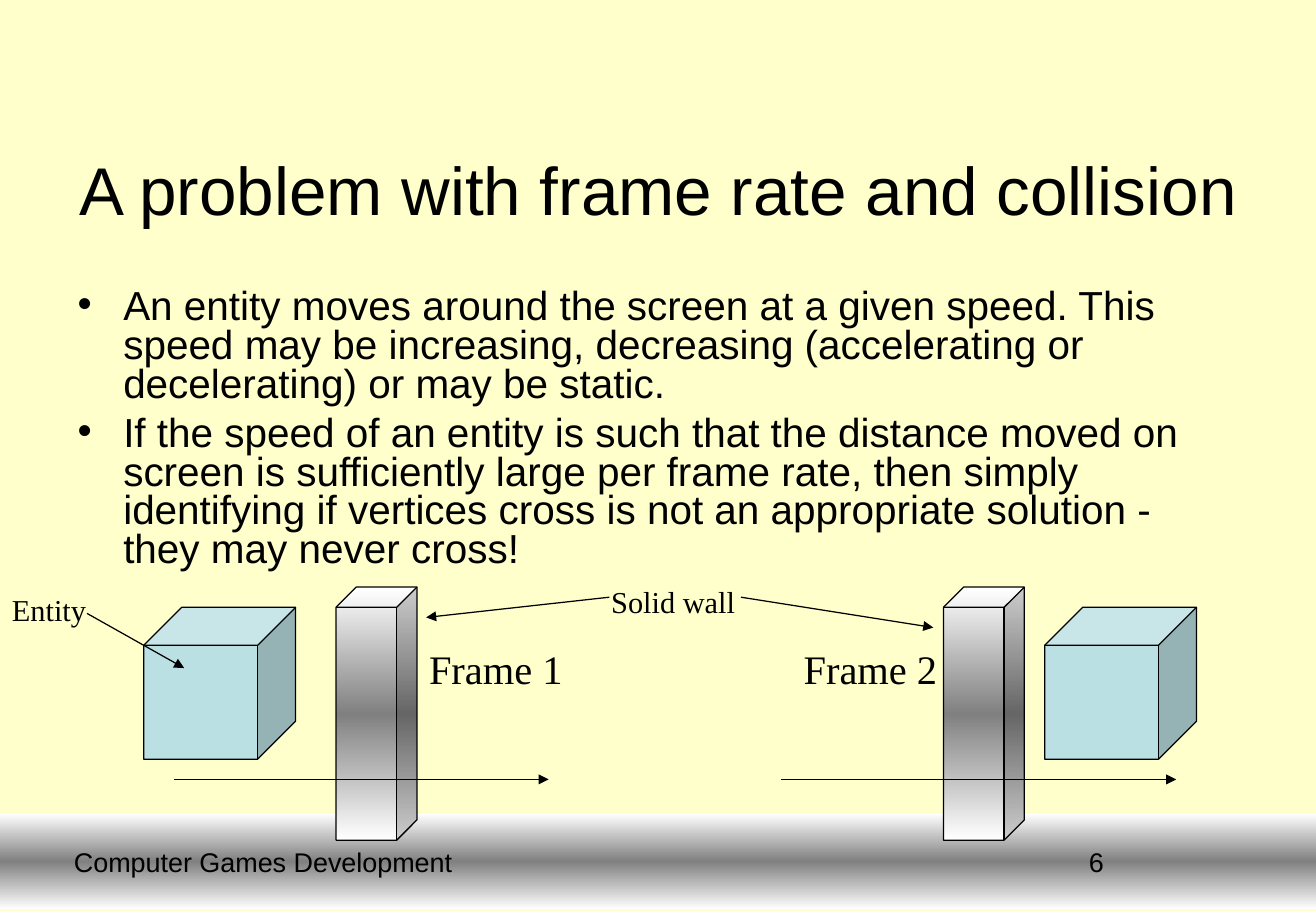
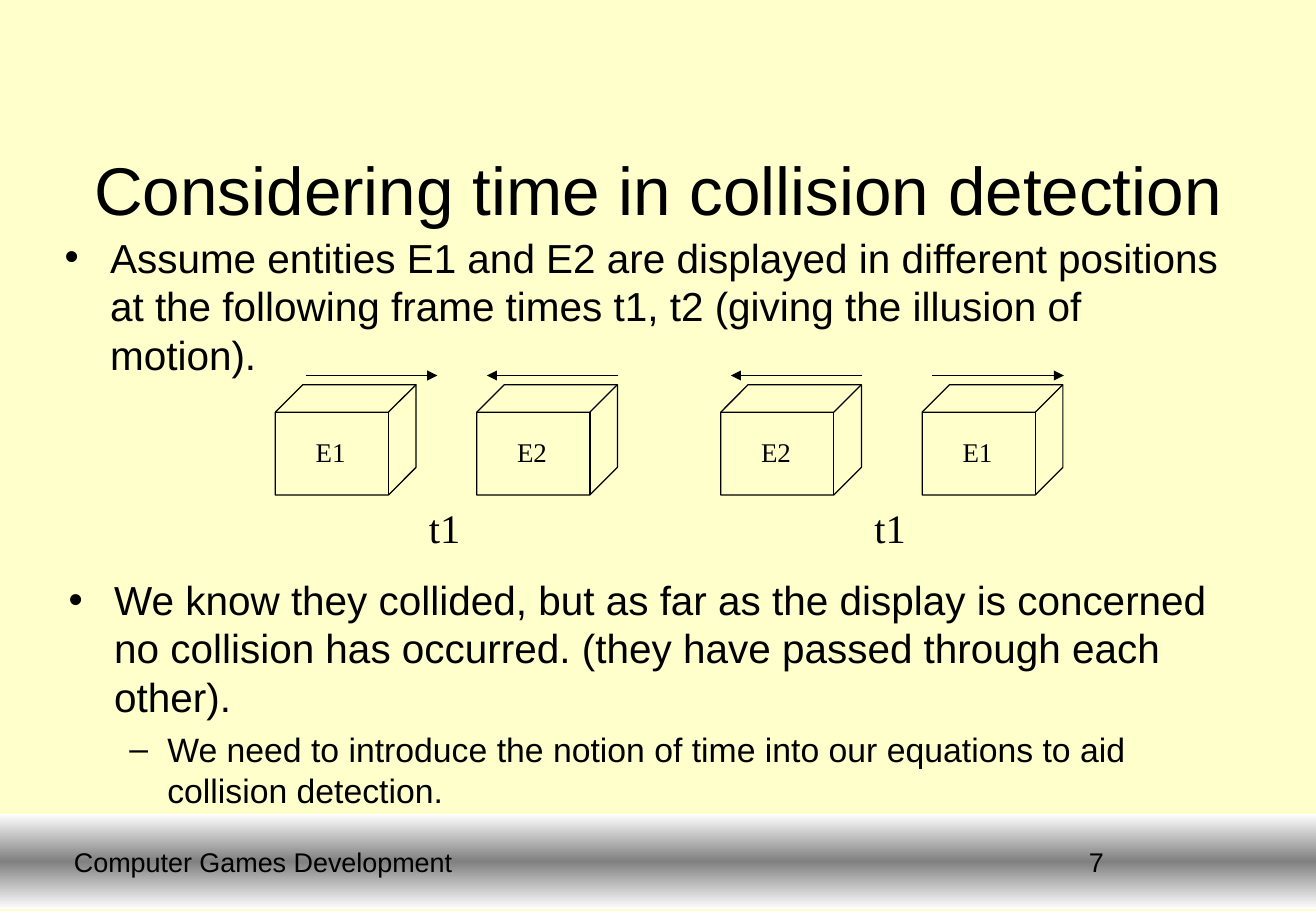
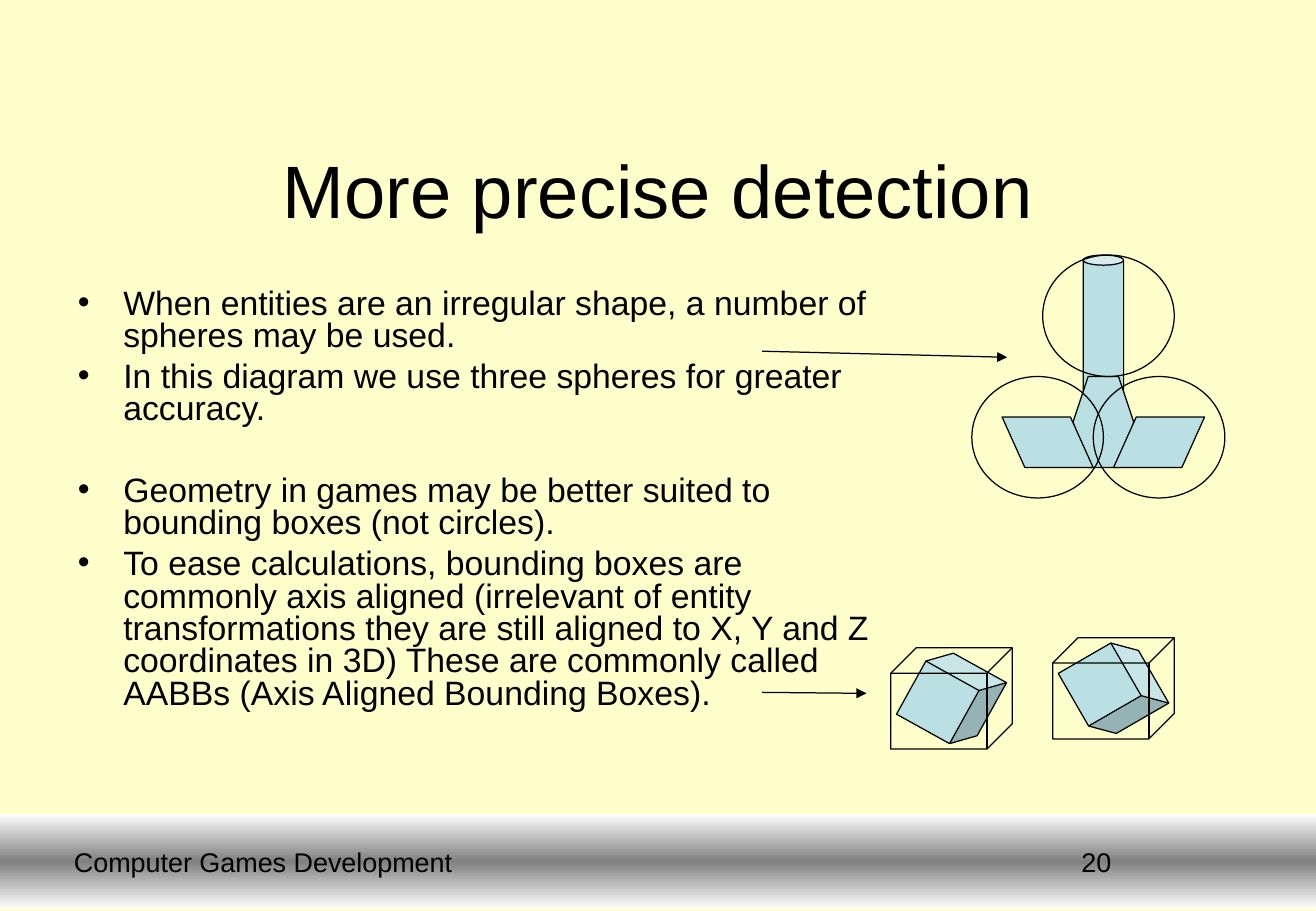
from copy import deepcopy
from dataclasses import dataclass

from lxml.etree import SubElement
from pptx import Presentation
from pptx.dml.color import RGBColor
from pptx.enum.shapes import MSO_CONNECTOR, MSO_SHAPE
from pptx.enum.text import MSO_ANCHOR, PP_ALIGN
from pptx.oxml.ns import qn
from pptx.util import Inches, Pt

WIDTH, HEIGHT = Inches(10.84), Inches(7.5)
COLUMNS, ROWS = 130, 90


@dataclass(frozen=True)
class Theme:
    paper: str = "FFFFCC"
    ink: str = "000000"
    entity: str = "BBE0E3"
    wall: tuple = ("FFFFFF", "808080")
    band: tuple = ("FEFEFE", "808080")
    sans: str = "Arial"
    serif: str = "Times New Roman"
    title: int = 40
    large_title: int = 44
    body: int = 24
    small_body: int = 20
    note: int = 18
    footer: int = 16
    outline: float = 0.75


THEME = Theme()


def col(count):
    return round(WIDTH * count / COLUMNS)


def row(count):
    return round(HEIGHT * count / ROWS)


def place(left, top, width, height):
    return col(left), row(top), col(width), row(height)


def colour(code):
    return RGBColor.from_string(code)


def text_area(slide, area, anchor=MSO_ANCHOR.TOP):
    frame = slide.shapes.add_textbox(*place(*area)).text_frame
    frame.word_wrap = True
    frame.vertical_anchor = anchor
    return frame


def write(frame, text, *, size, font=THEME.sans, align=PP_ALIGN.LEFT,
          bullet=None, level=0, indent=4.5, hang=4.5, spacing=1.0, before=0):
    first = not frame.paragraphs[0].runs
    paragraph = frame.paragraphs[0] if first else frame.add_paragraph()
    if bullet:
        properties = paragraph._p.get_or_add_pPr()
        properties.set("marL", str(col(indent)))
        properties.set("indent", str(-col(hang)))
        SubElement(properties, qn("a:buFont")).set("typeface", THEME.sans)
        SubElement(properties, qn("a:buChar")).set("char", bullet)
    paragraph.level = level
    paragraph.alignment = align
    paragraph.line_spacing = spacing
    if not first:
        paragraph.space_before = Pt(before)
    run = paragraph.add_run()
    run.text = text
    run.font.size = Pt(size)
    run.font.name = font
    run.font.color.rgb = colour(THEME.ink)


def label(slide, text, area, size):
    write(text_area(slide, area), text, size=size, font=THEME.serif)


def paint_metal(shape, tones):
    edge, middle = tones
    shape.fill.gradient()
    shape.fill.gradient_angle = 90
    stops = shape.fill.gradient_stops
    for stop, tone, position in zip(stops, (edge, middle), (0, 0.5)):
        stop.color.rgb = colour(tone)
        stop.position = position
    stop_list = shape._element.spPr.find(".//" + qn("a:gsLst"))
    stop_list.append(deepcopy(stop_list[0]))
    shape.fill.gradient_stops[2].position = 1


def solid(slide, kind, area, fill=None, *, outlined=True, turn=0, adjust=None, mirrored=False):
    shape = slide.shapes.add_shape(kind, *place(*area))
    shape.shadow.inherit = False
    shape.rotation = turn
    if adjust is not None:
        shape.adjustments[0] = adjust
    if mirrored:
        shape._element.spPr.get_or_add_xfrm().set("flipH", "1")
    if fill is None:
        shape.fill.background()
    elif isinstance(fill, tuple):
        paint_metal(shape, fill)
    else:
        shape.fill.solid()
        shape.fill.fore_color.rgb = colour(fill)
    if outlined:
        shape.line.color.rgb = colour(THEME.ink)
        shape.line.width = Pt(THEME.outline)
    else:
        shape.line.fill.background()


def cube(slide, area, fill=None, turn=0):
    solid(slide, MSO_SHAPE.CUBE, area, fill, turn=turn, adjust=0.25)


def arrow(slide, start, end):
    connector = slide.shapes.add_connector(
        MSO_CONNECTOR.STRAIGHT, col(start[0]), row(start[1]), col(end[0]), row(end[1]))
    connector.line.color.rgb = colour(THEME.ink)
    connector.line.width = Pt(THEME.outline)
    SubElement(connector.line._get_or_add_ln(), qn("a:tailEnd")).set("type", "triangle")
    SubElement(connector._element.spPr, qn("a:effectLst"))


def start_slide(deck, title, number, title_size=THEME.title):
    slide = deck.slides.add_slide(deck.slide_layouts[6])
    solid(slide, MSO_SHAPE.RECTANGLE, (0, 80.4, COLUMNS, 9.4), THEME.band, outlined=False)
    for text, area, size in (
        (title, (6.5, 10, 117, 17.2), title_size),
        ("Computer Games Development", (5.4, 82, 41.2, 6.2), THEME.footer),
        (str(number), (93.1, 82, 30.4, 6.2), THEME.footer),
    ):
        write(text_area(slide, area, MSO_ANCHOR.MIDDLE), text, size=size, align=PP_ALIGN.CENTER)
    return slide


def frame_rate_slide(deck):
    slide = start_slide(deck, "A problem with frame rate and collision", 6)
    body = text_area(slide, (6.5, 28, 117, 27.8))
    for point in (
        "An entity moves around the screen at a given speed. This speed may be increasing, "
        "decreasing (accelerating or decelerating) or may be static.",
        "If the speed of an entity is such that the distance moved on screen is sufficiently "
        "large per frame rate, then simply identifying if vertices cross is not an appropriate "
        "solution - they may never cross!",
    ):
        write(body, point, size=THEME.body, bullet="•", spacing=0.8, before=6)

    for caption, caption_left, wall_left, entity_left, path_start, path_end in (
        ("Frame 1", 41.2, 33.2, 14.2, 17.2, 54.2),
        ("Frame 2", 78.2, 93.2, 103.2, 77.2, 116.2),
    ):
        cube(slide, (wall_left, 58, 8, 25), THEME.wall)
        arrow(slide, (path_start, 77), (path_end, 77))
        label(slide, caption, (caption_left, 63, 16, 6), THEME.body)
        cube(slide, (entity_left, 60, 15, 15), THEME.entity)

    label(slide, "Solid wall", (59.2, 57, 17, 4.8), THEME.note)
    arrow(slide, (60.2, 59), (42.1, 61))
    arrow(slide, (73.2, 59), (92.2, 62))
    label(slide, "Entity", (0, 57.8, 17, 4.8), THEME.note)
    arrow(slide, (8.6, 60.6), (18.2, 66))


def time_slide(deck):
    slide = start_slide(deck, "Considering time in collision detection", 7)
    write(text_area(slide, (5.2, 22.4, 117, 18.1)),
          "Assume entities E1 and E2 are displayed in different positions at the following "
          "frame times t1, t2 (giving the illusion of motion).",
          size=THEME.body, bullet="•")

    for name, left, tail, head in (
        ("E1", 27.2, 3, 16), ("E2", 47.1, 14, 1),
        ("E2", 71.2, 14, 1), ("E1", 91.1, 1, 14),
    ):
        cube(slide, (left, 38, 13.9, 10.9))
        label(slide, name, (left + 2.8, 42.4, 7.4, 4.4), THEME.footer)
        arrow(slide, (left + tail, 37.1), (left + head, 37.1))
    for left in (41.2, 85.2):
        label(slide, "t1", (left, 49.1, 9, 6), THEME.body)

    conclusion = text_area(slide, (5.6, 56.2, 117, 18.1))
    write(conclusion,
          "We know they collided, but as far as the display is concerned no collision has "
          "occurred. (they have passed through each other).",
          size=THEME.body, bullet="•")
    write(conclusion,
          "We need to introduce the notion of time into our equations to aid collision detection.",
          size=THEME.small_body, bullet="–", level=1, indent=9.75, hang=3.75, before=5)


def precise_slide(deck):
    slide = start_slide(deck, "More precise detection", 20, THEME.large_title)
    body = text_area(slide, (6.5, 28, 81.6, 50.6))
    for point, before in (
        ("When entities are an irregular shape, a number of spheres may be used.", 0),
        ("In this diagram we use three spheres for greater accuracy.", 5),
        ("Geometry in games may be better suited to bounding boxes (not circles).", 29),
        ("To ease calculations, bounding boxes are commonly axis aligned (irrelevant of entity "
         "transformations they are still aligned to X, Y and Z coordinates in 3D) These are "
         "commonly called AABBs (Axis Aligned Bounding Boxes).", 5),
    ):
        write(body, point, size=THEME.small_body, bullet="•", spacing=0.8, before=before)

    solid(slide, MSO_SHAPE.CAN, (107, 25.2, 4, 14), THEME.entity, adjust=0.25)
    solid(slide, MSO_SHAPE.HEXAGON, (106, 37.2, 6, 9), THEME.entity, adjust=0.25)
    for left, mirrored in ((110, False), (99, True)):
        solid(slide, MSO_SHAPE.PARALLELOGRAM, (left, 41.2, 9, 5), THEME.entity,
              adjust=0.45, mirrored=mirrored)
    for left, top in ((103, 25.2), (108, 37.2), (96, 37.2)):
        solid(slide, MSO_SHAPE.OVAL, (left, top, 13, 12))

    for left, top, turn in ((88, 64, 29), (104, 63, 60)):
        cube(slide, (left + 2, top + 1, 8, 8), THEME.entity, turn)
        cube(slide, (left, top, 12, 10))

    arrow(slide, (75.3, 34.7), (99.5, 35.3))
    arrow(slide, (75.3, 68.4), (85.6, 68.5))


def main():
    deck = Presentation()
    deck.slide_width, deck.slide_height = WIDTH, HEIGHT
    paper = deck.slide_master.background.fill
    paper.solid()
    paper.fore_color.rgb = colour(THEME.paper)
    for build in (frame_rate_slide, time_slide, precise_slide):
        build(deck)
    deck.save("out.pptx")


if __name__ == "__main__":
    main()
